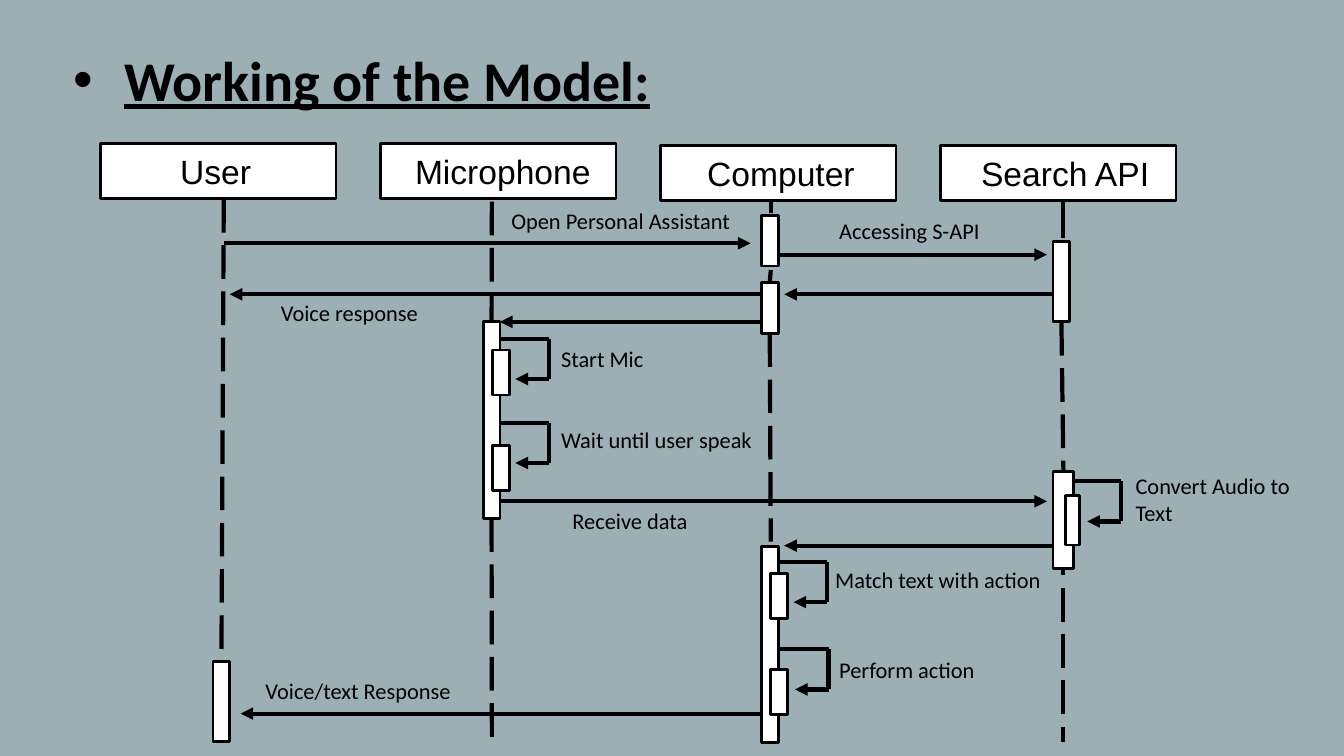
from lxml import etree
from pptx import Presentation
from pptx import util as u
from pptx.dml.color import RGBColor
from pptx.enum import dml, shapes, text
from pptx.oxml.ns import qn

BACKGROUND = RGBColor(0x9B, 0xAF, 0xB5)
BLACK = RGBColor(0, 0, 0)
WHITE = RGBColor(255, 255, 255)

TITLE_FONT = {"name": "Calibri", "size": u.Pt(60), "bold": True, "underline": True}
HEAD_FONT = {"name": "Arial", "size": u.Pt(36)}
LABEL_FONT = {"name": "Calibri", "size": u.Pt(24)}

TITLE_BOX = (1, 0.62, 17.83, 1.11)
DIAGRAM_BOX = (1.5, 2.13, 17.83, 8.92)
HEAD_STEP = 12.5 / 3
HEADS = [("User", 0, 1.18), ("Microphone", 0, 0.51),
         ("Computer", 0.03, 0.69), ("Search API", 0.03, 0.6)]

BARS = {
    "listen": (5.69, 2.66, 0.25, 2.92),
    "start mic": (5.83, 3.08, 0.25, 0.67),
    "wait": (5.83, 4.5, 0.25, 0.67),
    "open": (9.83, 1.08, 0.25, 0.75),
    "reply": (9.83, 2.08, 0.25, 0.75),
    "process": (9.83, 6, 0.25, 2.92),
    "match": (9.97, 6.41, 0.25, 0.67),
    "perform": (9.97, 7.83, 0.25, 0.67),
    "access": (14.17, 1.46, 0.25, 1.2),
    "receive": (14.17, 4.89, 0.31, 1.44),
    "convert": (14.35, 5.24, 0.21, 0.74),
    "user": (1.67, 7.71, 0.25, 1.2),
}
LIFELINES = [
    ((1.83, 0.83), (1.79, 7.71), True, None, "user"),
    ((5.82, 0.87), (5.82, 2.66), True, None, "listen"),
    ((5.82, 5.58), (5.82, 8.91), True, "listen", None),
    ((9.97, 0.86), (9.97, 1.04), False, None, None),
    ((9.97, 1.89), (9.97, 2.08), False, None, "reply"),
    ((9.97, 2.83), (9.97, 5.93), True, "reply", None),
    ((14.32, 0.87), (14.32, 1.41), False, None, None),
    ((14.29, 2.66), (14.32, 4.89), True, "access", "receive"),
]
LAST_LIFELINE = ((14.32, 5.93), (14.32, 8.91))
MESSAGES = [
    (1.83, 9.67, 1.49), (9.83, 1.92, 2.25), (9.83, 5.94, 2.66),
    (10.08, 14.08, 1.66), (14.17, 10.17, 2.25), (5.92, 14.08, 5.33),
    (14.17, 10.17, 5.99), (9.83, 2.08, 8.49),
]
SELF_CALLS = [(5.95, 2.91), (5.95, 4.16), (10.09, 6.23), (10.11, 7.53), (14.46, 5.03)]
LABELS = [
    ("Open Personal Assistant", 6.01, 0.91, 3.92),
    ("Accessing S-API", 10.89, 1.05, 3.92),
    ("Voice response", 2.58, 2.27, 3.92),
    ("Start Mic", 6.75, 2.95, 3.92),
    ("Wait until user speak", 6.75, 4.16, 3.92),
    ("Receive data", 6.92, 5.36, 2.13),
    ("Convert Audio to Text", 15.3, 4.85, 2.53),
    ("Match text with action", 10.83, 6.24, 3.92),
    ("Perform action", 10.89, 7.58, 3.92),
    ("Voice/text Response", 2.35, 7.9, 3.92),
]


def write(shape, wording, font_format):
    frame = shape.text_frame
    frame.word_wrap = True
    paragraph = frame.paragraphs[0]
    paragraph.alignment = text.PP_ALIGN.LEFT
    run = paragraph.add_run()
    run.text = wording
    for name, value in font_format.items():
        setattr(run.font, name, value)
    run.font.color.rgb = BLACK
    return paragraph


def add_box(slide, left, top, width, height):
    shape = slide.shapes.add_shape(
        shapes.MSO_SHAPE.RECTANGLE, *map(u.Inches, (left, top, width, height)))
    shape.shadow.inherit = False
    shape.fill.solid()
    shape.fill.fore_color.rgb = WHITE
    shape.line.color.rgb = BLACK
    shape.line.width = u.Pt(3)
    return shape


def add_line(slide, box, start, end, dashed=False, arrow=False):
    left, top = box[:2]
    points = (left + start[0], top + start[1], left + end[0], top + end[1])
    line = slide.shapes.add_connector(
        shapes.MSO_CONNECTOR.STRAIGHT, *map(u.Inches, points))
    line.line.color.rgb = BLACK
    line.line.width = u.Pt(4.5)
    if dashed:
        line.line.dash_style = dml.MSO_LINE.LONG_DASH
    if arrow:
        etree.SubElement(line.line._get_or_add_ln(), qn("a:tailEnd"), type="triangle")
    etree.SubElement(line._element.spPr, qn("a:effectLst"))
    return line


def add_title(slide, box):
    title = slide.shapes.title
    for name, value in zip(("left", "top", "width", "height"), box):
        setattr(title, name, u.Inches(value))
    paragraph = write(title, "Working of the Model:", TITLE_FONT)
    title.text_frame.vertical_anchor = text.MSO_ANCHOR.TOP
    title.text_frame.auto_size = text.MSO_AUTO_SIZE.NONE
    properties = paragraph._p.get_or_add_pPr()
    properties.set("marL", str(u.Inches(0.75)))
    properties.set("indent", str(u.Inches(-0.75)))
    etree.SubElement(properties, qn("a:buFont"), typeface="Arial")
    etree.SubElement(properties, qn("a:buChar"), char="•")


def add_heads(slide, box):
    for column, (name, drop, inset) in enumerate(HEADS):
        head = add_box(slide, box[0] + column * HEAD_STEP, box[1] + drop, 3.5, 0.83)
        head.text_frame.margin_left = u.Inches(inset)
        head.text_frame.margin_right = 0
        write(head, name, HEAD_FONT)


def add_lifelines(slide, box):
    add_line(slide, box, *LAST_LIFELINE, dashed=True)
    bars = {name: add_box(slide, box[0] + left, box[1] + top, width, height)
            for name, (left, top, width, height) in BARS.items()}
    for start, end, dashed, upper, lower in LIFELINES:
        line = add_line(slide, box, start, end, dashed)
        if upper:
            line.begin_connect(bars[upper], 2)
        if lower:
            line.end_connect(bars[lower], 0)


def add_messages(slide, box):
    for start, end, y in MESSAGES:
        add_line(slide, box, (start, y), (end, y), arrow=True)
    for x, y in SELF_CALLS:
        turn, bottom = x + 0.72, y + 0.6
        add_line(slide, box, (x, y), (turn, y))
        add_line(slide, box, (turn, bottom), (turn, y))
        add_line(slide, box, (turn, bottom), (turn - 0.5, bottom), arrow=True)


def add_labels(slide, box):
    for wording, left, top, width in LABELS:
        label = slide.shapes.add_textbox(
            *map(u.Inches, (box[0] + left, box[1] + top, width, 0.5)))
        write(label, wording, LABEL_FONT)
        label.text_frame.auto_size = text.MSO_AUTO_SIZE.SHAPE_TO_FIT_TEXT


def main():
    presentation = Presentation()
    presentation.slide_width = u.Inches(20)
    presentation.slide_height = u.Inches(11.25)
    slide = presentation.slides.add_slide(presentation.slide_layouts[5])
    slide.background.fill.solid()
    slide.background.fill.fore_color.rgb = BACKGROUND
    add_title(slide, TITLE_BOX)
    for add_part in (add_heads, add_lifelines, add_messages, add_labels):
        add_part(slide, DIAGRAM_BOX)
    presentation.save("out.pptx")


if __name__ == "__main__":
    main()
